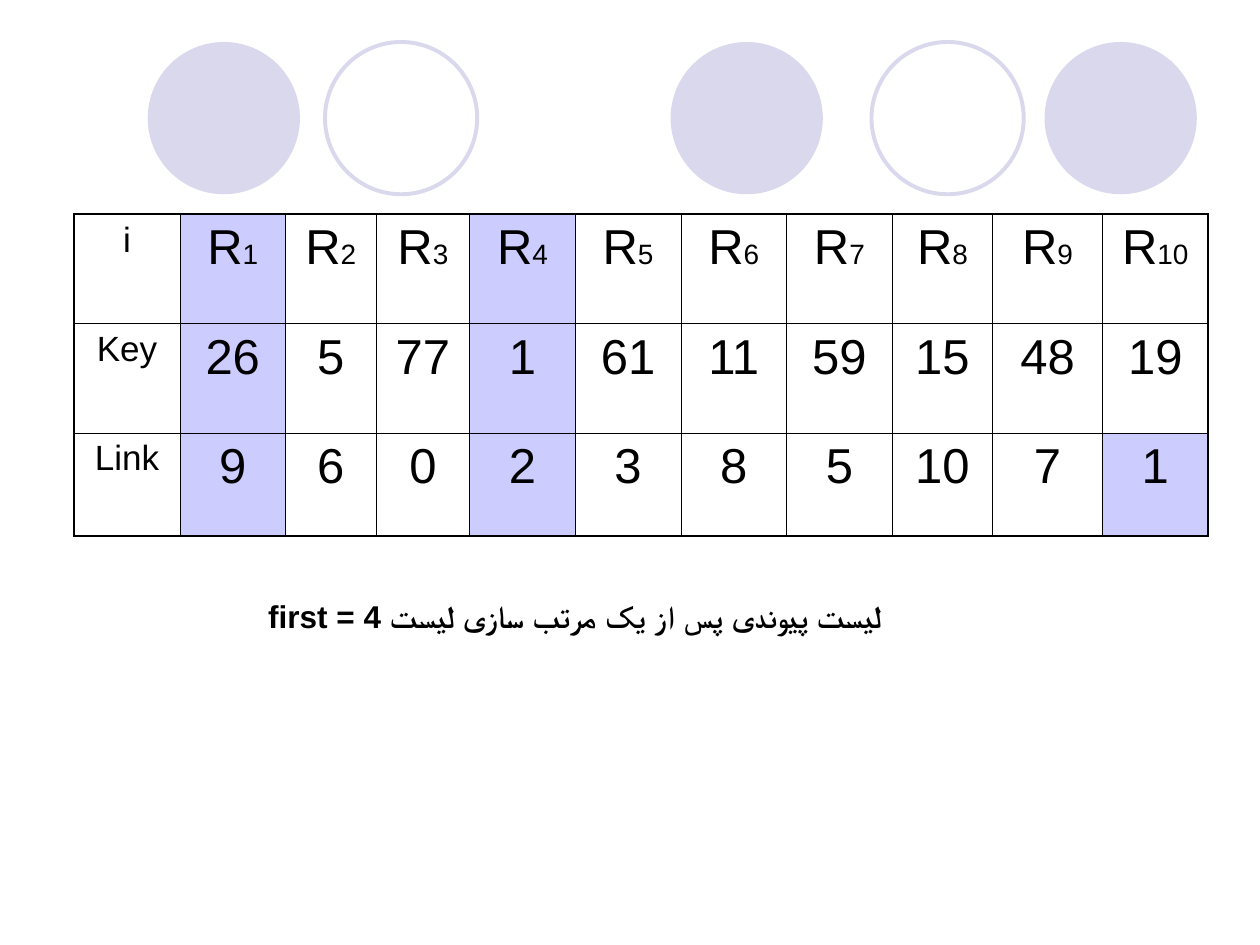
"""Build the slide that shows the linked list of records after sorting."""
from dataclasses import dataclass

from lxml import etree
from pptx import Presentation
from pptx import util as u
from pptx.dml.color import RGBColor
from pptx.enum import shapes, text
from pptx.oxml import ns


@dataclass(frozen=True)
class Theme:
    font: str = "Arial"
    ink: str = "000000"
    circle: str = "D9D8EC"
    highlight: str = "CCCCFF"
    value: float = 28
    label: float = 20
    caption: float = 18
    index: float = 16
    outline: float = 2.25
    outer_rule: float = 1.08
    inner_rule: float = 0.45


class SlideBuilder:
    def __init__(self, page, theme):
        self.page = page
        self.theme = theme

    def add_span(self, para, words, size, bold=False):
        span = para.add_run()
        span.text = words
        formats = {"name": self.theme.font, "size": u.Pt(size), "bold": bold}
        for name, value in formats.items():
            setattr(span.font, name, value)
        span.font.color.rgb = RGBColor.from_string(self.theme.ink)

    def circle(self, left, top, diameter, filled):
        shape = self.page.shapes.add_shape(
            shapes.MSO_SHAPE.OVAL, *map(u.Pt, (left, top, diameter, diameter)))
        shape.shadow.inherit = False
        color = RGBColor.from_string(self.theme.circle)
        if filled:
            shape.fill.solid()
            shape.fill.fore_color.rgb = color
            shape.line.fill.background()
        else:
            shape.fill.background()
            shape.line.color.rgb = color
            shape.line.width = u.Pt(self.theme.outline)

    def border(self, cell, side, width):
        properties = cell._tc.get_or_add_tcPr()
        line = etree.SubElement(properties, ns.qn(f"a:ln{side}"), w=str(u.Pt(width)))
        fill = etree.SubElement(line, ns.qn("a:solidFill"))
        etree.SubElement(fill, ns.qn("a:srgbClr"), val=self.theme.ink)

    def cell(self, cell, spans, highlighted, outer_sides):
        for side in "LRTB":
            self.border(cell, side, self.theme.outer_rule if side in outer_sides
                        else self.theme.inner_rule)
        if highlighted:
            cell.fill.solid()
            cell.fill.fore_color.rgb = RGBColor.from_string(self.theme.highlight)
        else:
            cell.fill.background()
        para = cell.text_frame.paragraphs[0]
        para.alignment = text.PP_ALIGN.CENTER
        for words, size in spans:
            self.add_span(para, words, size)

    def table(self, left, top, widths, heights, rows, highlights):
        frame = self.page.shapes.add_table(
            len(heights), len(widths),
            *map(u.Pt, (left, top, sum(widths), sum(heights))))
        grid = frame.table
        grid.first_row = grid.horz_banding = False
        for column, width in zip(grid.columns, widths):
            column.width = u.Pt(width)
        for row, height in zip(grid.rows, heights):
            row.height = u.Pt(height)
        last_row, last_column = len(heights) - 1, len(widths) - 1
        for r, row in enumerate(rows):
            for c, spans in enumerate(row):
                edges = {"L": c == 0, "R": c == last_column,
                         "T": r == 0, "B": r == last_row}
                outer_sides = [side for side, outer in edges.items() if outer]
                self.cell(grid.cell(r, c), spans, (r, c) in highlights, outer_sides)

    def caption(self, left, top, width, height, words):
        box = self.page.shapes.add_textbox(*map(u.Pt, (left, top, width, height)))
        formats = {"word_wrap": False, "auto_size": text.MSO_AUTO_SIZE.SHAPE_TO_FIT_TEXT}
        for name, value in formats.items():
            setattr(box.text_frame, name, value)
        para = box.text_frame.paragraphs[0]
        para._p.get_or_add_pPr().set("rtl", "1")
        self.add_span(para, words, self.theme.caption, bold=True)


def main():
    deck = Presentation()
    deck.slide_width, deck.slide_height = u.Pt(720), u.Pt(540)
    theme = Theme()
    builder = SlideBuilder(deck.slides.add_slide(deck.slide_layouts[6]), theme)

    for left, filled in ((383.2, True), (596.9, True), (84.4, True),
                         (498, False), (185.7, False)):
        builder.circle(left, 24, 87, filled)

    keys = [26, 5, 77, 1, 61, 11, 59, 15, 48, 19]
    links = [9, 6, 0, 2, 3, 8, 5, 10, 7, 1]
    records = [[("R", theme.value), (str(number), theme.index)]
               for number in range(1, len(keys) + 1)]
    rows = [[[("i", theme.label)], *records]]
    for label, values in (("Key", keys), ("Link", links)):
        rows.append([[(label, theme.label)],
                     *([(str(value), theme.value)] for value in values)])
    highlights = {(r, c) for r in range(3) for c in (1, 4)} | {(2, 10)}
    widths = [60.4, 60.4, 51.8, 53.4, 60.4, 60.4, 60.4, 60.4, 57.4, 62.8, 60.4]
    builder.table(42.4, 122.4, widths, [62.5, 62.5, 59], rows, highlights)

    builder.caption(146.2, 337.7, 458.6, 28.8,
                    "لیست پیوندی پس از یک مرتب سازی لیست first = 4")
    deck.save("out.pptx")


if __name__ == "__main__":
    main()
